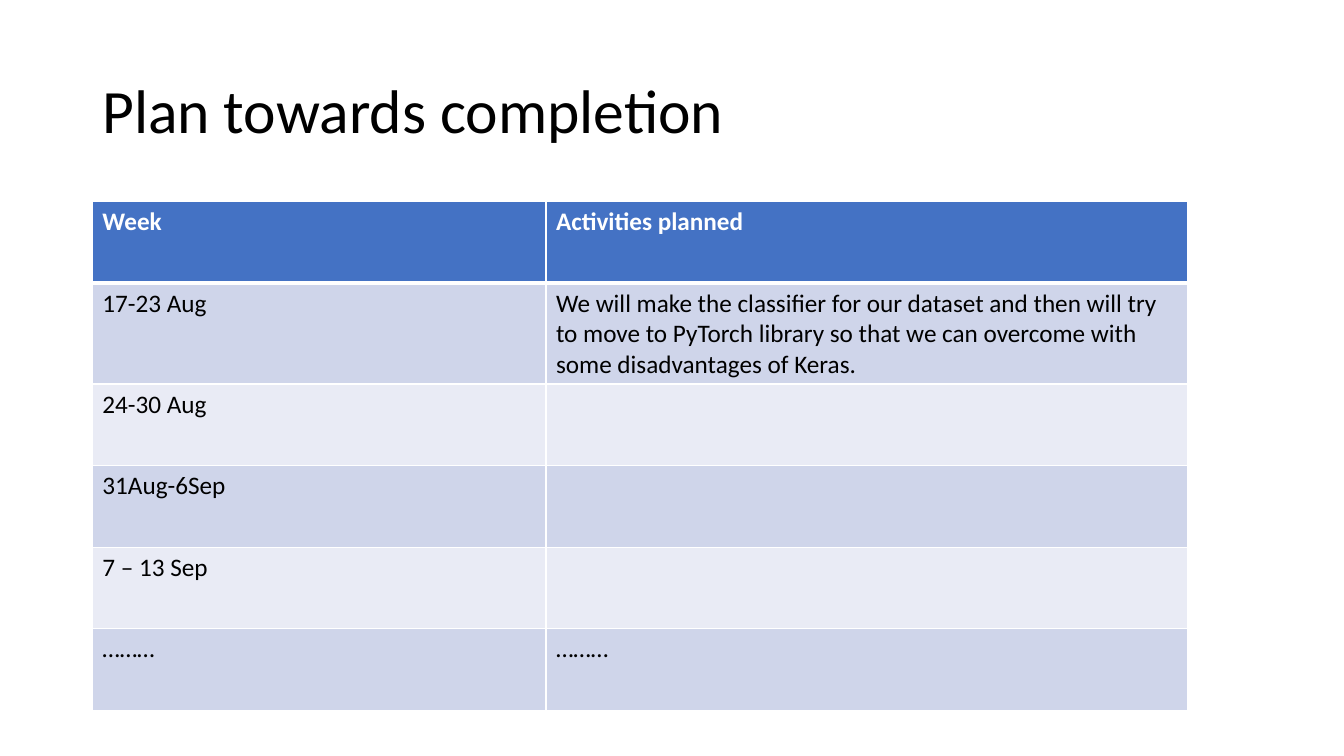
import pptx
import pptx.dml.color
import pptx.enum.text
import pptx.oxml.ns
import pptx.util
import lxml.etree

Pt = pptx.util.Pt
RGBColor = pptx.dml.color.RGBColor

BLACK = RGBColor(0x00, 0x00, 0x00)
WHITE = RGBColor(0xFF, 0xFF, 0xFF)
HEADER_BLUE = RGBColor(0x44, 0x72, 0xC4)
BAND_DARK = RGBColor(0xCF, 0xD5, 0xEA)
BAND_LIGHT = RGBColor(0xE9, 0xEB, 0xF5)

FONT = "Calibri"
LEFT = 66
COLUMN_WIDTHS = (324, 458.6)
ROW_HEIGHT = 58.3
PLAN = (
    ("Week", "Activities planned"),
    ("17-23 Aug", "We will make the classifier for our dataset and then will try "
     "to move to PyTorch library so that we can overcome with "
     "some disadvantages of Keras."),
    ("24-30 Aug", ""),
    ("31Aug-6Sep", ""),
    ("7 – 13 Sep", ""),
    ("………", "………"),
)


def add_span(para, text, size, color, bold=False):
    """Add one formatted run to a paragraph."""
    span = para.add_run()
    span.text = text
    span.font.name = FONT
    span.font.size = Pt(size)
    span.font.bold = bold
    span.font.color.rgb = color


def add_title(page, text):
    """Add the slide title, centred vertically in its box."""
    box = page.shapes.add_textbox(Pt(LEFT), Pt(28.75), Pt(828), Pt(104.4))
    frame = box.text_frame
    frame.word_wrap = True
    frame.vertical_anchor = pptx.enum.text.MSO_ANCHOR.MIDDLE
    para = frame.paragraphs[0]
    para.line_spacing = 0.9
    add_span(para, text, 44, BLACK)


def add_border(cell, side, width):
    """Draw a white line on one side of a cell."""
    properties = cell._tc.get_or_add_tcPr()
    qn = pptx.oxml.ns.qn
    line = lxml.etree.SubElement(properties, qn("a:ln" + side), w=str(Pt(width)))
    fill = lxml.etree.SubElement(line, qn("a:solidFill"))
    lxml.etree.SubElement(fill, qn("a:srgbClr"), val=str(WHITE))


def fill_cell(cell, text, row):
    """Give a cell its borders, band colour and text."""
    header = row == 0
    widths = {"L": 1, "R": 1, "T": 3 if row == 1 else 1, "B": 3 if header else 1}
    for side, width in widths.items():
        add_border(cell, side, width)
    cell.fill.solid()
    band = BAND_DARK if row % 2 else BAND_LIGHT
    cell.fill.fore_color.rgb = HEADER_BLUE if header else band
    para = cell.text_frame.paragraphs[0]
    para.font.size = Pt(18)
    if text:
        add_span(para, text, 18, WHITE if header else BLACK, header)


def add_plan_table(page, plan):
    """Add the table of weeks and planned activities."""
    frame = page.shapes.add_table(
        len(plan), len(COLUMN_WIDTHS), Pt(LEFT), Pt(144),
        Pt(sum(COLUMN_WIDTHS)), Pt(ROW_HEIGHT * len(plan)))
    table = frame.table
    for column, width in zip(table.columns, COLUMN_WIDTHS):
        column.width = Pt(width)
    for row, texts in enumerate(plan):
        table.rows[row].height = Pt(ROW_HEIGHT)
        for column, text in enumerate(texts):
            fill_cell(table.cell(row, column), text, row)


def main():
    """Build the slide and save the deck."""
    deck = pptx.Presentation()
    deck.slide_width = Pt(960)
    deck.slide_height = Pt(540)
    page = deck.slides.add_slide(deck.slide_layouts[6])
    add_title(page, "Plan towards completion")
    add_plan_table(page, PLAN)
    deck.save("out.pptx")


main()
